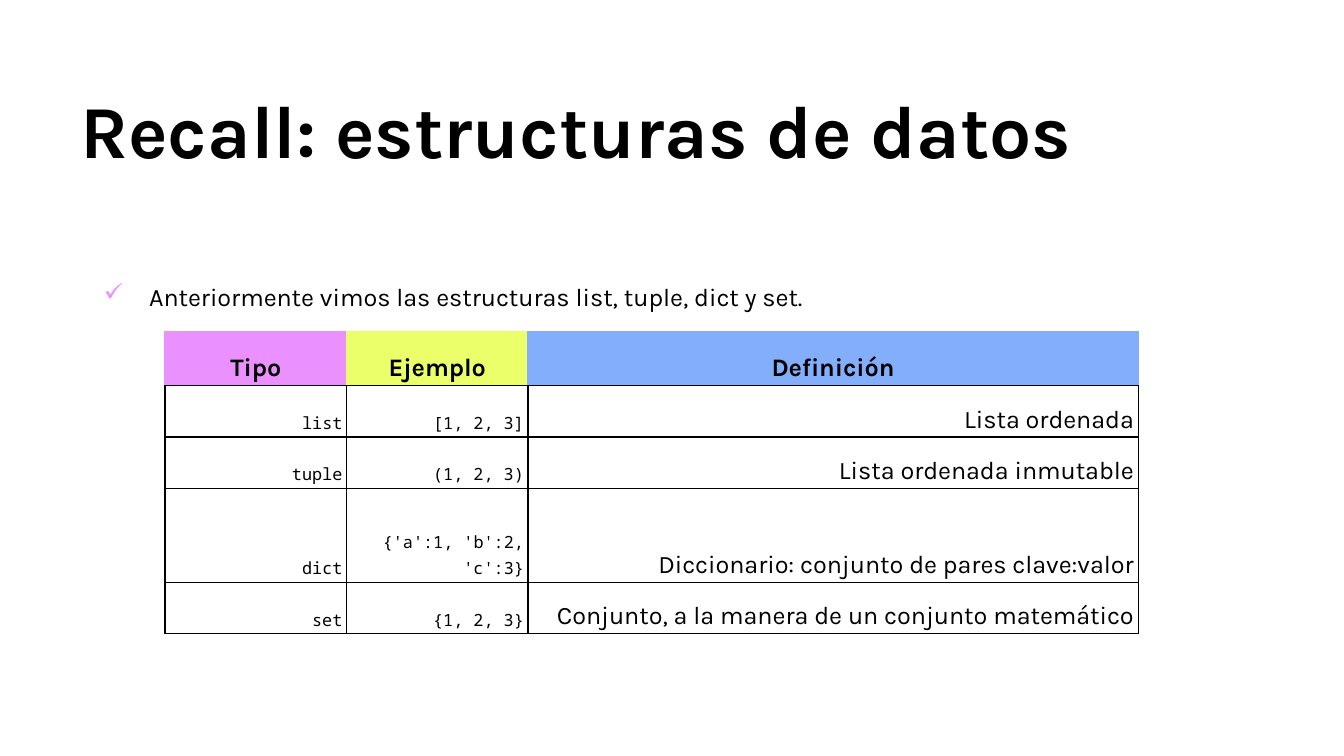
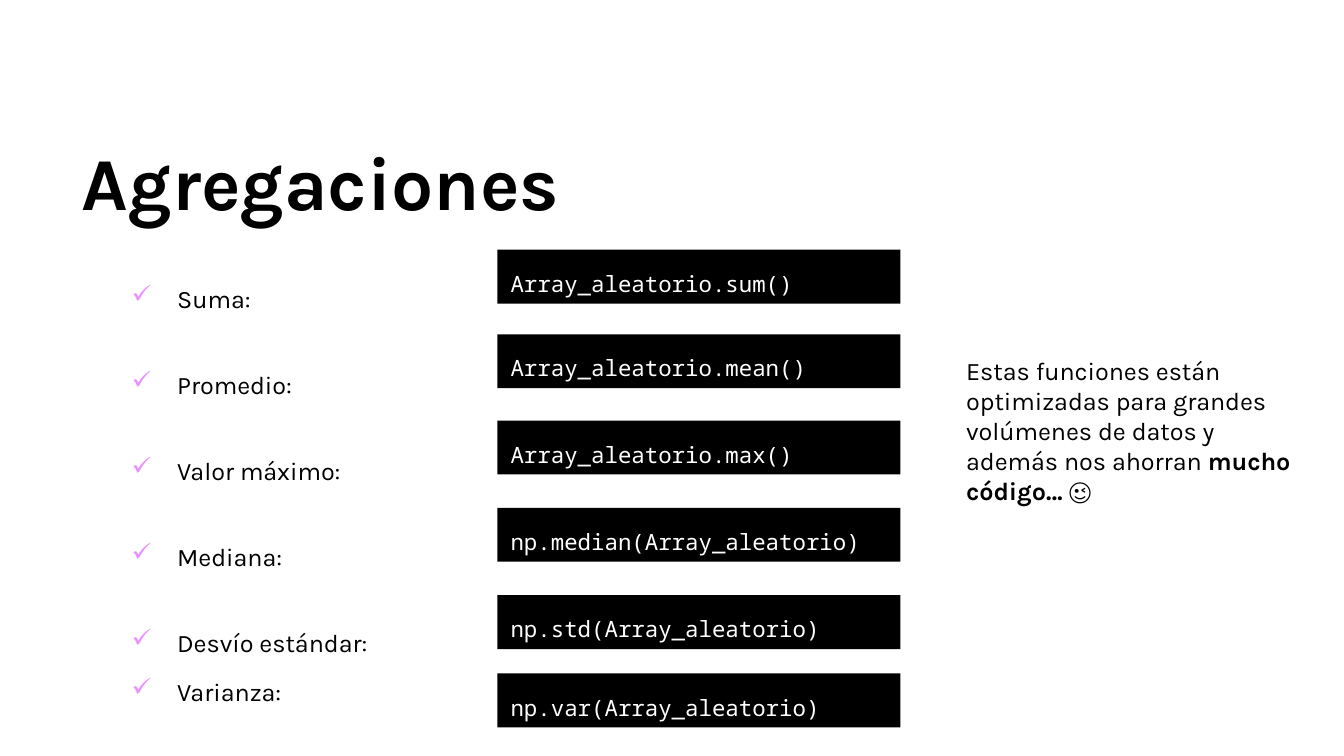
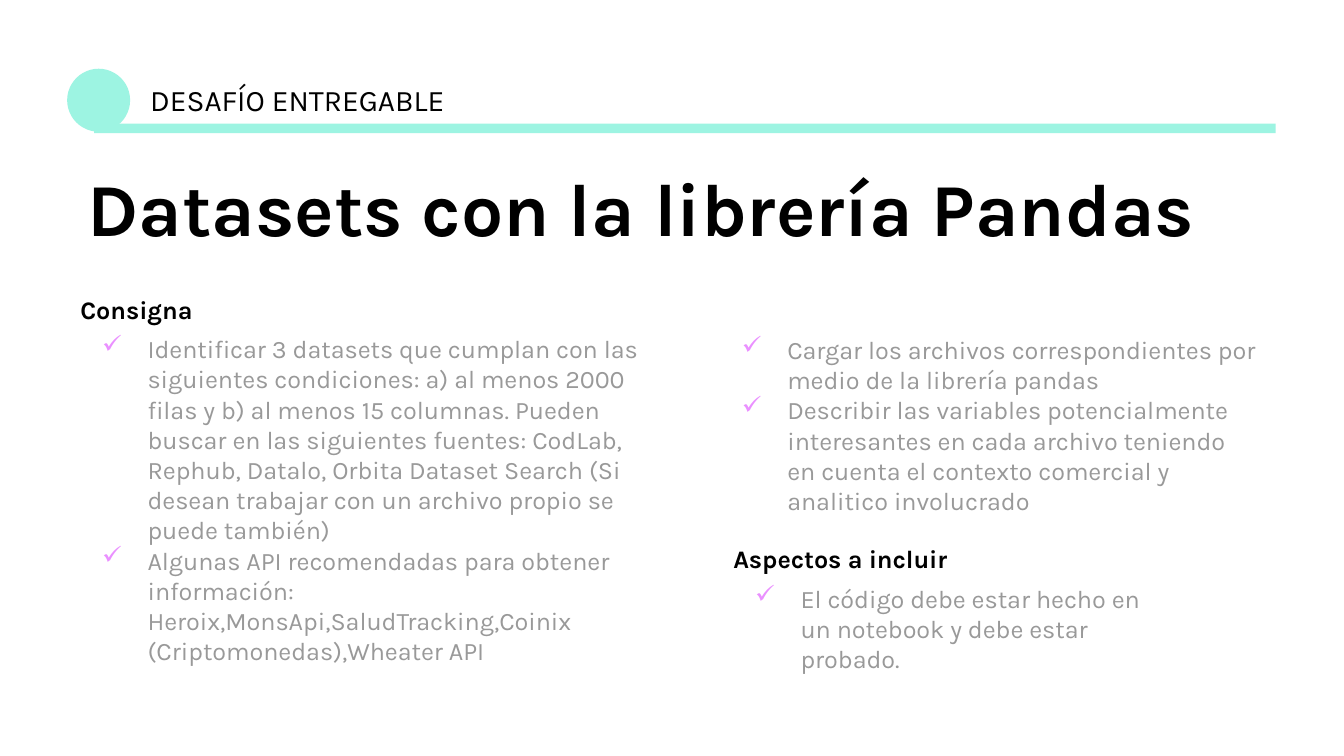
import pptx
import pptx.dml.color
import pptx.enum.shapes
import pptx.enum.text
import pptx.oxml.ns
import pptx.util
from lxml import etree

Cm = pptx.util.Cm
Pt = pptx.util.Pt
ANCHOR = pptx.enum.text.MSO_ANCHOR
ALIGN = pptx.enum.text.PP_ALIGN
SHAPE = pptx.enum.shapes.MSO_SHAPE
qn = pptx.oxml.ns.qn

COLORS = {
    "black": "000000",
    "white": "FFFFFF",
    "gray": "999999",
    "pink": "EA90FF",
    "lime": "EAFF6A",
    "blue": "83AEFB",
    "mint": "9DF4E2",
}
SANS = "Karla"
MONO = "Noto Sans Mono"
BODY_SIZE = 13.5
INSET = 0.25
LOW_INSET = 0.41

STRUCTURES = [
    ("list", "[1, 2, 3]", "Lista ordenada"),
    ("tuple", "(1, 2, 3)", "Lista ordenada inmutable"),
    ("dict", "{'a':1, 'b':2, 'c':3}", "Diccionario: conjunto de pares clave:valor"),
    ("set", "{1, 2, 3}", "Conjunto, a la manera de un conjunto matemático"),
]
HEADINGS = [("Tipo", "pink"), ("Ejemplo", "lime"), ("Definición", "blue")]
COLUMN_WIDTHS = [3.43, 3.43, 11.53]
ROW_HEIGHTS = [1.02, 0.97, 0.97, 1.78, 0.97]

AGGREGATIONS = [
    ("Suma:", 0, "Array_aleatorio.sum()", 4.72),
    ("Promedio:", 21.8, "Array_aleatorio.mean()", 6.32),
    ("Valor máximo:", 21.8, "Array_aleatorio.max()", 7.95),
    ("Mediana:", 21.8, "np.median(Array_aleatorio)", 9.6),
    ("Desvío estándar:", 21.8, "np.std(Array_aleatorio)", 11.25),
    ("Varianza:", 1.8, "np.var(Array_aleatorio)", 12.73),
]


def rgb(color):
    """Return the named colour."""
    return pptx.dml.color.RGBColor.from_string(COLORS[color])


def add_run(paragraph, words, size=BODY_SIZE, font=SANS, color="black", bold=False):
    """Append one styled run."""
    run = paragraph.add_run()
    run.text = words
    run.font.size = Pt(size)
    run.font.name = font
    run.font.bold = bold
    run.font.color.rgb = rgb(color)


def set_frame(frame, anchor=ANCHOR.TOP, top_inset=INSET):
    """Set wrapping, anchor and insets of a text frame."""
    frame.word_wrap = True
    frame.vertical_anchor = anchor
    frame.margin_left = frame.margin_right = frame.margin_bottom = Cm(INSET)
    frame.margin_top = Cm(top_inset)


def add_text(slide, place, anchor=ANCHOR.TOP, top_inset=INSET):
    """Add an empty text box and return its frame."""
    frame = slide.shapes.add_textbox(*map(Cm, place)).text_frame
    set_frame(frame, anchor, top_inset)
    return frame


def next_paragraph(frame):
    """Return the unused first paragraph or a new one."""
    first = frame.paragraphs[0]
    return frame.add_paragraph() if first.runs else first


def add_check(frame, words, color="black", before=0, spacing=1.0):
    """Add a paragraph with a pink check mark."""
    paragraph = next_paragraph(frame)
    properties = paragraph._p.get_or_add_pPr()
    properties.set("marL", str(Cm(1.27)))
    properties.set("indent", str(Cm(-0.86)))
    tint = etree.SubElement(properties, qn("a:buClr"))
    etree.SubElement(tint, qn("a:srgbClr"), val=COLORS["pink"])
    etree.SubElement(properties, qn("a:buChar"), char="✓")
    paragraph.line_spacing = spacing
    if before:
        paragraph.space_before = Pt(before)
    add_run(paragraph, words, color=color)


def add_title(slide, words, place):
    """Add the large slide title."""
    paragraph = add_text(slide, place).paragraphs[0]
    paragraph.line_spacing = 0.9
    add_run(paragraph, words, size=40, bold=True)


def add_block(slide, kind, place, color):
    """Add a plain filled shape."""
    block = slide.shapes.add_shape(kind, *map(Cm, place))
    block.shadow.inherit = False
    block.fill.solid()
    block.fill.fore_color.rgb = rgb(color)
    block.line.fill.background()
    return block


def add_code(slide, code, top):
    """Add a black band with one line of code."""
    band = add_block(slide, SHAPE.RECTANGLE, (9.4, top, 7.62, 1.02), "black")
    set_frame(band.text_frame, ANCHOR.MIDDLE)
    paragraph = band.text_frame.paragraphs[0]
    paragraph.alignment = ALIGN.LEFT
    paragraph.line_spacing = 1.5
    paragraph.space_after = Pt(10)
    add_run(paragraph, code, size=12, font=MONO, color="white")


def add_section(slide, heading, tasks, place):
    """Add a bold heading followed by gray checked tasks."""
    frame = add_text(slide, place)
    add_run(frame.paragraphs[0], heading, bold=True)
    for index, task in enumerate(tasks):
        add_check(frame, task, "gray", before=0 if index else 4.9)


def set_borders(cell, left="black", right="black", top="black", bottom="black"):
    """Draw the four cell borders."""
    properties = cell._tc.get_or_add_tcPr()
    for side, color in zip("LRTB", (left, right, top, bottom)):
        line = etree.SubElement(properties, qn(f"a:ln{side}"), w=str(Pt(0.75)))
        fill = etree.SubElement(line, qn("a:solidFill"))
        etree.SubElement(fill, qn("a:srgbClr"), val=COLORS[color])


def fill_cell(cell, words, align, **style):
    """Write a bottom-anchored cell."""
    cell.vertical_anchor = ANCHOR.BOTTOM
    cell.margin_left = cell.margin_right = Cm(0.08)
    cell.margin_top = cell.margin_bottom = Cm(0.05)
    paragraph = cell.text_frame.paragraphs[0]
    paragraph.alignment = align
    paragraph.line_spacing = 1.15
    add_run(paragraph, words, **style)


def add_structures_table(slide):
    """Add the table of data structures."""
    table = slide.shapes.add_table(
        len(ROW_HEIGHTS), len(COLUMN_WIDTHS), Cm(3.12), Cm(6.27),
        Cm(sum(COLUMN_WIDTHS)), Cm(sum(ROW_HEIGHTS))).table
    table.first_row = table.horz_banding = False
    for column, width in zip(table.columns, COLUMN_WIDTHS):
        column.width = Cm(width)
    for row, height in zip(table.rows, ROW_HEIGHTS):
        row.height = Cm(height)
    for index, (heading, color) in enumerate(HEADINGS):
        cell = table.cell(0, index)
        neighbour = HEADINGS[min(index + 1, len(HEADINGS) - 1)][1]
        fill_cell(cell, heading, ALIGN.CENTER, bold=True)
        set_borders(cell, left=color, right=neighbour, top=color)
        cell.fill.solid()
        cell.fill.fore_color.rgb = rgb(color)
    code_style = {"size": 9, "font": MONO}
    for row, structure in enumerate(STRUCTURES, 1):
        for index, (words, style) in enumerate(zip(structure, (code_style, code_style, {}))):
            cell = table.cell(row, index)
            fill_cell(cell, words, ALIGN.RIGHT, **style)
            set_borders(cell)
            cell.fill.background()


def build_structures(slide):
    """Build the recap of data structures."""
    add_title(slide, "Recall: estructuras de datos", (1.27, 1.52, 19.96, 2.74))
    recap = add_text(slide, (1.3, 4.95, 22.81, 2.06), top_inset=LOW_INSET)
    add_check(recap, "Anteriormente vimos las estructuras list, tuple, dict y set.")
    add_structures_table(slide)


def build_aggregations(slide):
    """Build the list of aggregations with their code."""
    add_title(slide, "Agregaciones", (1.3, 2.51, 16.51, 1.65))
    operations = add_text(slide, (1.83, 4.72, 22.81, 8.99), ANCHOR.MIDDLE)
    for operation, before, code, top in AGGREGATIONS:
        add_check(operations, operation, before=before, spacing=1.5)
        add_code(slide, code, top)
    remark = add_text(slide, (18.01, 6.3, 6.71, 4.34), top_inset=LOW_INSET).paragraphs[0]
    add_run(remark, "Estas funciones están optimizadas para grandes volúmenes "
                    "de datos y además nos ahorran ")
    add_run(remark, "mucho código…", bold=True)
    add_run(remark, " 😉")


def build_challenge(slide):
    """Build the assignment slide."""
    add_block(slide, SHAPE.OVAL, (1.27, 1.3, 1.19, 1.19), "mint")
    add_block(slide, SHAPE.RECTANGLE, (1.78, 2.34, 22.33, 0.18), "mint")
    banner = add_text(slide, (2.59, 1.3, 6.83, 1.19))
    add_run(banner.paragraphs[0], "DESAFÍO ENTREGABLE", size=16)
    add_title(slide, "Datasets con la librería Pandas", (1.4, 3, 22.33, 2.06))
    add_section(slide, "Consigna", [
        "Identificar 3 datasets que cumplan con las siguientes condiciones: a) al menos "
        "2000 filas y b) al menos 15 columnas. Pueden buscar en las siguientes fuentes: "
        "CodLab, Rephub, Datalo, Orbita Dataset Search (Si desean trabajar con un archivo "
        "propio se puede también)",
        "Algunas API recomendadas para obtener información: "
        "Heroix,MonsApi,SaludTracking,Coinix (Criptomonedas),Wheater API",
    ], (1.27, 5.31, 11.3, 9.04))
    steps = add_text(slide, (13.36, 6.07, 10.64, 3.99))
    add_check(steps, "Cargar los archivos correspondientes por medio de la librería pandas", "gray")
    add_check(steps, "Describir las variables potencialmente interesantes en cada archivo "
                     "teniendo en cuenta el contexto comercial y analitico involucrado", "gray")
    add_section(slide, "Aspectos a incluir", [
        "El código debe estar hecho en un notebook y debe estar probado.",
    ], (13.61, 10.03, 8.33, 3.86))


def main():
    """Build and save the presentation."""
    deck = pptx.Presentation()
    deck.slide_width, deck.slide_height = Cm(25.4), Cm(14.29)
    for build in (build_structures, build_aggregations, build_challenge):
        build(deck.slides.add_slide(deck.slide_layouts[6]))
    deck.save("out.pptx")


if __name__ == "__main__":
    main()
